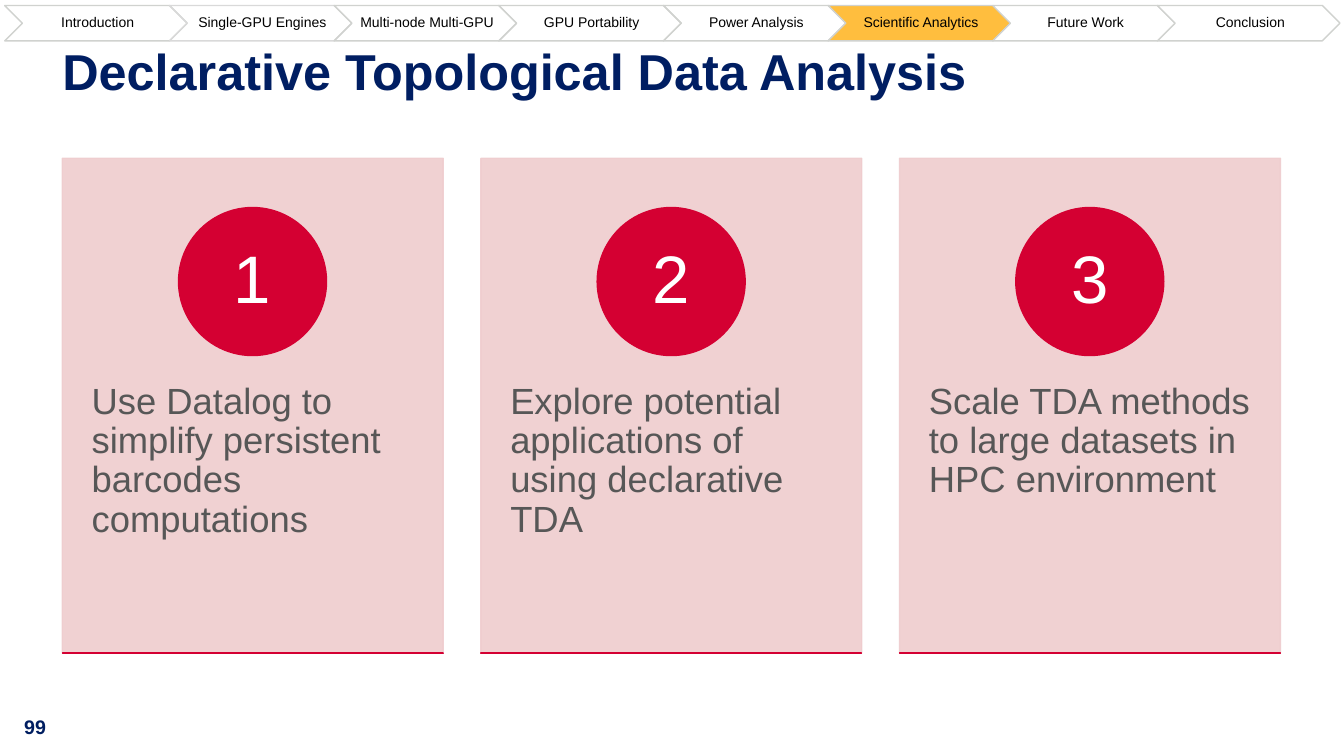
from dataclasses import dataclass

from lxml import etree
from pptx import Presentation
from pptx.dml.color import RGBColor
from pptx.enum.shapes import MSO_SHAPE as Shp
from pptx.enum.text import MSO_ANCHOR as Anchor, PP_ALIGN as Align
from pptx.oxml.ns import qn
from pptx.util import Cm, Pt

COLORS = {
    "title": "001E62", "page": "001E61", "red": "D40032", "card": "EFCCCE",
    "body": "575757", "white": "FFFFFF", "black": "000000",
    "active": "FFBE3E", "edge": "D0D2CF", "edge_light": "D9D9D9",
}


@dataclass
class Box:
    x: float
    y: float
    w: float
    h: float

    def lengths(self):
        return [Cm(v) for v in (self.x, self.y, self.w, self.h)]

    def centered(self, size: float) -> "Box":
        return Box(self.x + (self.w - size) / 2, self.y + (self.h - size) / 2, size, size)


@dataclass
class Style:
    size: float
    color: str
    bold: bool = False
    align: Align = Align.LEFT
    anchor: Anchor = Anchor.TOP
    insets: tuple = (0, 0, 0, 0)  # left, top, right, bottom
    spacing: float = 0.9


@dataclass
class Step:
    label: str
    fill: str | None = None
    line: str = "edge"


TITLE = Style(36, "title", bold=True)
PAGE = Style(14, "page", bold=True, insets=(0.25, 0.13, 0.25, 0.13), spacing=1.0)
BODY = Style(26, "body", insets=(0.74, 0.91, 0.74, 0.91))
NUMBER = Style(48, "white", align=Align.CENTER, anchor=Anchor.MIDDLE,
               insets=(0.28, 0.03, 0.28, 0.03))
STEP = Style(10, "black", align=Align.CENTER, anchor=Anchor.MIDDLE,
             insets=(0.1, 0.03, 0.03, 0.03))

STEPS = [
    Step("Introduction"),
    Step("Single-GPU Engines", line="edge_light"),
    Step("Multi-node Multi-GPU"),
    Step("GPU Portability"),
    Step("Power Analysis"),
    Step("Scientific Analytics", "active"),
    Step("Future Work", "white"),
    Step("Conclusion", "white"),
]
CARDS = [
    "Use Datalog to simplify persistent barcodes computations",
    "Explore potential applications of using declarative TDA",
    "Scale TDA methods to large datasets in HPC environment",
]


def rgb(name: str) -> RGBColor:
    return RGBColor.from_string(COLORS[name])


def add_text(s, text: str, box: Box, style: Style) -> None:
    tf = s.shapes.add_textbox(*box.lengths()).text_frame
    left, top, right, bottom = (Cm(v) for v in style.insets)
    frame = {"word_wrap": True, "vertical_anchor": style.anchor,
             "margin_left": left, "margin_top": top,
             "margin_right": right, "margin_bottom": bottom}
    for name, value in frame.items():
        setattr(tf, name, value)
    p = tf.paragraphs[0]
    p.alignment, p.line_spacing = style.align, style.spacing
    r = p.add_run()
    r.text = text
    font = {"name": "Arial", "size": Pt(style.size), "bold": style.bold}
    for name, value in font.items():
        setattr(r.font, name, value)
    r.font.color.rgb = rgb(style.color)


def add_shape(s, kind: Shp, box: Box, fill: str | None, line: str, opacity: int = 100) -> None:
    sp = s.shapes.add_shape(kind, *box.lengths())
    sp.shadow.inherit = False
    if fill:
        sp.fill.solid()
        sp.fill.fore_color.rgb = rgb(fill)
    else:
        sp.fill.background()
    sp.line.color.rgb = rgb(line)
    sp.line.width = Pt(1)
    if opacity < 100:
        for color in sp._element.spPr.iter(qn("a:srgbClr")):
            etree.SubElement(color, qn("a:alpha"), val=str(opacity * 1000))


def add_card(s, number: int, text: str) -> None:
    card = Box(1.57 + 10.55 * (number - 1), 3.99, 9.6, 12.47)
    circle = Box(card.x + 2.93, 5.23, 3.73, 3.73)
    add_shape(s, Shp.RECTANGLE, card, "card", "card", opacity=90)
    add_text(s, text, Box(card.x, 8.74, card.w, 7.49), BODY)
    add_shape(s, Shp.OVAL, circle, "red", "red")
    add_text(s, str(number), circle.centered(2.64), NUMBER)
    add_shape(s, Shp.RECTANGLE, Box(card.x, card.y + card.h, card.w, 0), "red", "red")


def add_step(s, index: int, step: Step) -> None:
    box = Box(0.12 + 4.15 * index, 0.14, 4.6, 0.89)
    add_shape(s, Shp.CHEVRON, box, step.fill, step.line)
    add_text(s, step.label, Box(box.x + 0.44, box.y, 3.73, box.h), STEP)


def main() -> None:
    prs = Presentation()
    prs.slide_width, prs.slide_height = Cm(33.87), Cm(19.05)
    s = prs.slides.add_slide(prs.slide_layouts[6])

    # Page number and title
    add_text(s, "99", Box(0.36, 17.88, 1.68, 0.86), PAGE)
    add_text(s, "Declarative Topological Data Analysis", Box(1.57, 1.19, 30.68, 2.26), TITLE)

    # Numbered cards
    for number, text in enumerate(CARDS, 1):
        add_card(s, number, text)

    # Progress bar
    for index, step in enumerate(STEPS):
        add_step(s, index, step)

    prs.save("out.pptx")


if __name__ == "__main__":
    main()
